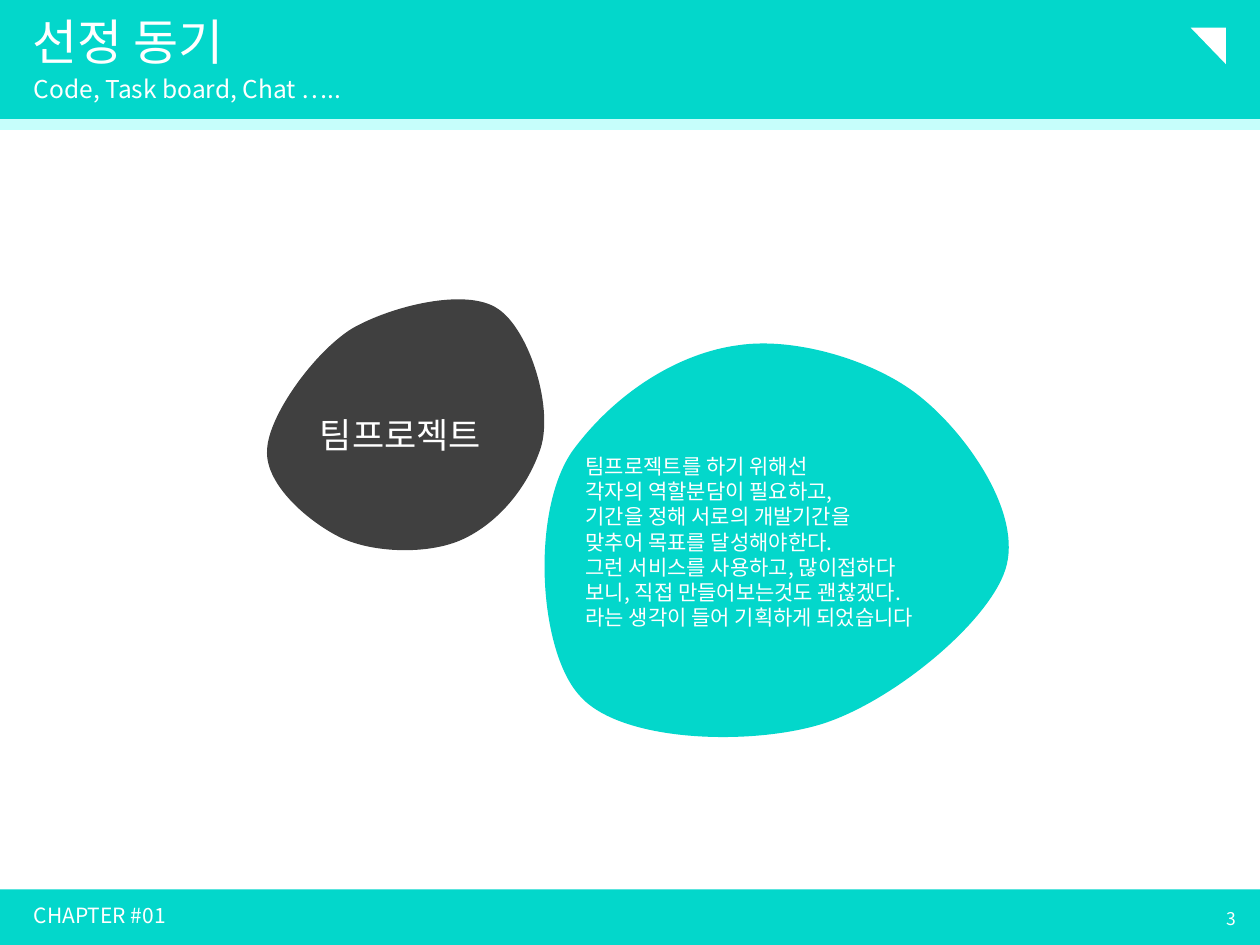
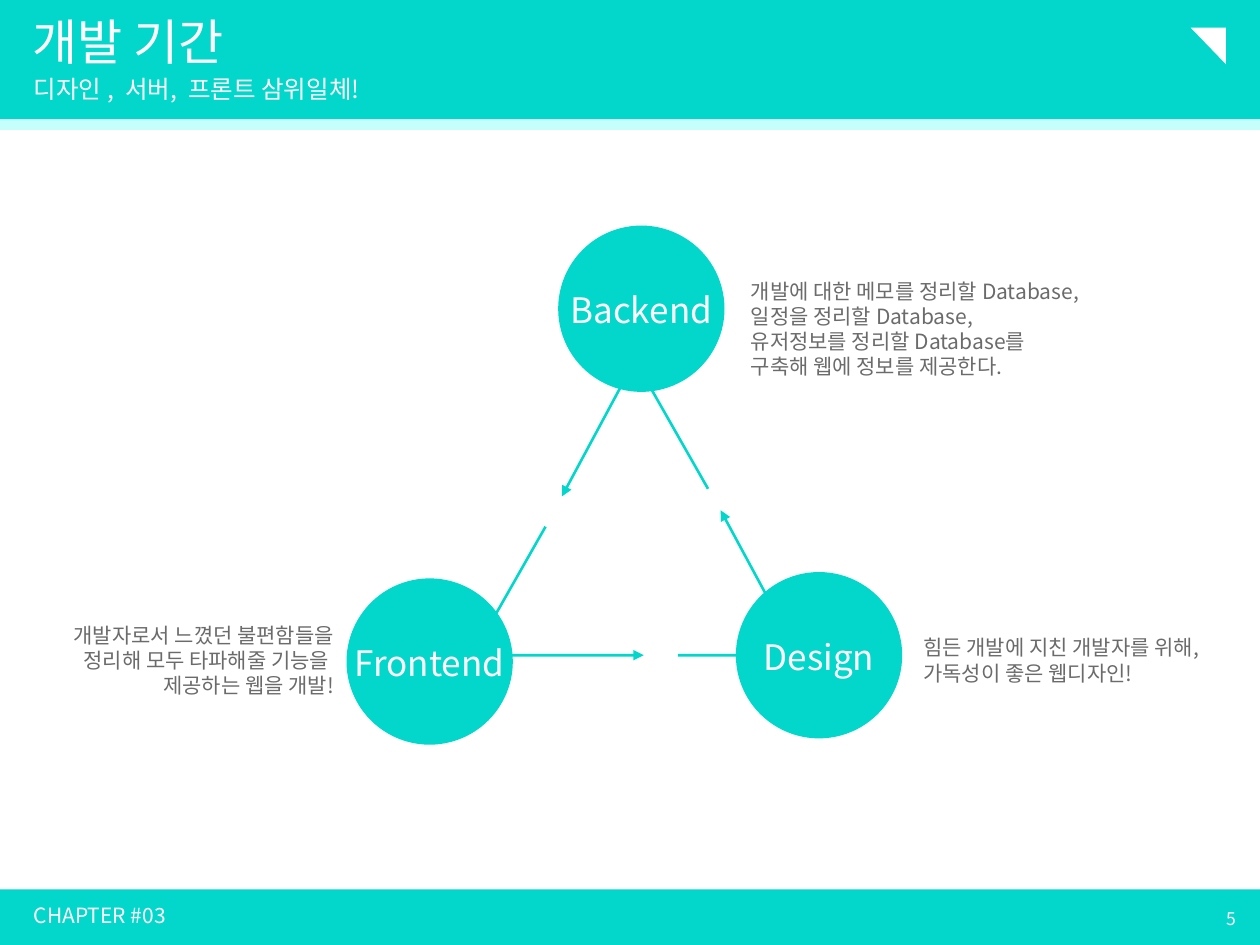
from lxml import etree
from pptx import Presentation
from pptx.dml.color import RGBColor
from pptx.enum import shapes as kinds, text as t
from pptx.oxml.ns import qn
from pptx.util import Inches, Pt

TEAL, PALE, DARK, GREY, WHITE = "03D7CB", "C6FEFB", "404040", "6B6B6B", "FFFFFF"
FONT = "Noto Sans CJK KR"
LEFT, CENTER, RIGHT = t.PP_ALIGN.LEFT, t.PP_ALIGN.CENTER, t.PP_ALIGN.RIGHT

# Content: motive slide
MOTIVE = {"title": "선정 동기", "subtitle": "Code, Task board, Chat …..",
          "chapter": "CHAPTER #01", "page": "3"}
TOPIC = "팀프로젝트"
REASONS = ["팀프로젝트를 하기 위해선", "각자의 역할분담이 필요하고,",
           "기간을 정해 서로의 개발기간을", "맞추어 목표를 달성해야한다.",
           "그런 서비스를 사용하고, 많이접하다",
           "보니, 직접 만들어보는것도 괜찮겠다.",
           "라는 생각이 들어 기획하게 되었습니다"]
# Pebble outlines: a start point, then three points for each curve
PEBBLES = [
    (TEAL, [(5.86, 2.74),
            (6.32, 2.67), (6.98, 2.87), (7.33, 3.17),
            (7.68, 3.46), (8.12, 4.08), (7.98, 4.52),
            (7.84, 4.95), (7.07, 5.58), (6.51, 5.75),
            (5.94, 5.92), (4.92, 5.89), (4.6, 5.52),
            (4.27, 5.16), (4.21, 4.04), (4.55, 3.57),
            (4.9, 3.1), (5.4, 2.8), (5.86, 2.74)]),
    (DARK, [(3.65, 4.29),
            (3.39, 4.4), (2.97, 4.39), (2.71, 4.27),
            (2.46, 4.15), (2.1, 3.85), (2.12, 3.57),
            (2.13, 3.3), (2.49, 2.8), (2.79, 2.61),
            (3.1, 2.43), (3.7, 2.28), (3.95, 2.45),
            (4.2, 2.61), (4.41, 3.26), (4.28, 3.59),
            (4.16, 3.92), (3.91, 4.18), (3.65, 4.29)]),
]

# Content: schedule slide
SCHEDULE = {"title": "개발 기간", "subtitle": "디자인 ,  서버,  프론트 삼위일체!",
            "chapter": "CHAPTER #03", "page": "5"}
DIAMETER = 1.32
# Role, circle corner, note box, note alignment, note lines
ROLES = [
    ("Backend", (4.43, 1.79), (5.86, 2.16, 3.09, 0.91), LEFT,
     ["개발에 대한 메모를 정리할 Database,", "일정을 정리할 Database,",
      "유저정보를 정리할 Database를", "구축해 웹에 정보를 제공한다."]),
    ("Frontend", (2.75, 4.59), (0.16, 4.89, 2.59, 0.71), RIGHT,
     ["개발자로서 느꼈던 불편함들을", "정리해 모두 타파해줄 기능을 ",
      "제공하는 웹을 개발!"]),
    ("Design", (5.84, 4.54), (7.23, 4.99, 2.54, 0.5), LEFT,
     ["힘든 개발에 지친 개발자를 위해,", "가독성이 좋은 웹디자인!"]),
]
# Each bent arrow turns behind a circle
ARROWS = [[(5.62, 3.88), (5.04, 2.86), (4.46, 3.94)],
          [(4.33, 4.18), (3.75, 5.2), (5.11, 5.2)],
          [(5.38, 5.2), (6.34, 5.2), (5.72, 4.05)]]


def color(hex_code):
    return RGBColor.from_string(hex_code)


def paint(shape, fill):
    shape.shadow.inherit = False
    shape.fill.solid()
    shape.fill.fore_color.rgb = color(fill)
    shape.line.fill.background()


def add_preset(slide, kind, box, fill):
    shape = slide.shapes.add_shape(kind, *map(Inches, box))
    paint(shape, fill)
    return shape


def add_text(slide, box, lines, size, ink=WHITE, align=LEFT, spacing=None,
             middle=False, grow=False):
    frame = slide.shapes.add_textbox(*map(Inches, box)).text_frame
    frame.text = "\n".join(lines)
    frame.word_wrap = True
    if middle:
        frame.vertical_anchor = t.MSO_ANCHOR.MIDDLE
    if grow:
        frame.auto_size = t.MSO_AUTO_SIZE.SHAPE_TO_FIT_TEXT
    for paragraph in frame.paragraphs:
        paragraph.alignment = align
        if spacing:
            paragraph.line_spacing = spacing
        for run in paragraph.runs:
            run.font.size = Pt(size)
            run.font.name = FONT
            run.font.color.rgb = color(ink)
            etree.SubElement(run.font._element, qn("a:ea"), typeface=FONT)


def add_outline(slide, points, close):
    start, *rest = [(Inches(x), Inches(y)) for x, y in points]
    builder = slide.shapes.build_freeform(*start)
    builder.add_line_segments(rest, close=close)
    shape = builder.convert_to_shape()
    shape.shadow.inherit = False
    return shape


def add_pebble(slide, fill, points):
    shape = add_outline(slide, points, True)
    paint(shape, fill)
    # Turn every three straight segments into one Bezier curve
    segments = list(shape._element.iter(qn("a:lnTo")))
    for first in range(0, len(segments), 3):
        trio = segments[first:first + 3]
        curve = etree.Element(qn("a:cubicBezTo"))
        trio[0].addprevious(curve)
        for segment in trio:
            curve.append(segment[0])
            segment.getparent().remove(segment)


def add_bent_arrow(slide, points):
    shape = add_outline(slide, points, False)
    shape.fill.background()
    shape.line.color.rgb = color(TEAL)
    shape.line.width = Pt(1.5)
    etree.SubElement(shape.line._get_or_add_ln(), qn("a:tailEnd"), type="triangle")


def add_page(deck, words):
    slide = deck.slides.add_slide(deck.slide_layouts[6])
    # Footer and header bands, corner mark, pale rule
    for box in [(-0.01, 7.06, 10.01, 0.44), (0, 0, 10, 1.02)]:
        add_preset(slide, kinds.MSO_SHAPE.RECTANGLE, box, TEAL)
    corner = add_preset(slide, kinds.MSO_SHAPE.ISOSCELES_TRIANGLE,
                        (9.45, 0.22, 0.28, 0.29), WHITE)
    corner.adjustments[0] = 0
    corner.rotation = 180
    rule = slide.shapes.add_connector(kinds.MSO_CONNECTOR.STRAIGHT,
                                      *map(Inches, (-0.02, 0.99, 10, 0.99)))
    rule.line.color.rgb = color(PALE)
    rule.line.width = Pt(6)
    etree.SubElement(rule._element.spPr, qn("a:effectLst"))
    # Title, subtitle, chapter, page number
    for part, box, size in [("title", (0.16, 0.15, 8.62, 0.41), 28),
                            ("subtitle", (0.17, 0.56, 8.79, 0.31), 14),
                            ("chapter", (0.17, 7.15, 3.59, 0.25), 12)]:
        add_text(slide, box, [words[part]], size, spacing=0.9, middle=True)
    add_text(slide, (7.66, 7.09, 2.25, 0.4), [words["page"]], 10,
             align=RIGHT, middle=True)
    return slide


deck = Presentation()
deck.slide_width, deck.slide_height = Inches(10), Inches(7.5)

# Motive slide
motive = add_page(deck, MOTIVE)
for fill, points in PEBBLES:
    add_pebble(motive, fill, points)
add_text(motive, (4.55, 3.55, 3.25, 1.51), REASONS, 12, grow=True)
add_text(motive, (2.44, 3.22, 1.81, 0.43), [TOPIC], 20, spacing=Pt(25), grow=True)

# Schedule slide
schedule = add_page(deck, SCHEDULE)
for points in ARROWS:
    add_bent_arrow(schedule, points)
for role, (left, top), note_box, align, note in ROLES:
    circle = add_preset(schedule, kinds.MSO_SHAPE.ROUNDED_RECTANGLE,
                        (left, top, DIAMETER, DIAMETER), TEAL)
    circle.adjustments[0] = 0.5
    add_text(schedule, (left - 0.07, top + 0.44, DIAMETER + 0.14, 0.43), [role],
             20, align=CENTER, spacing=Pt(25), grow=True)
    add_text(schedule, note_box, note, 12, GREY, align, grow=True)

deck.save("out.pptx")
